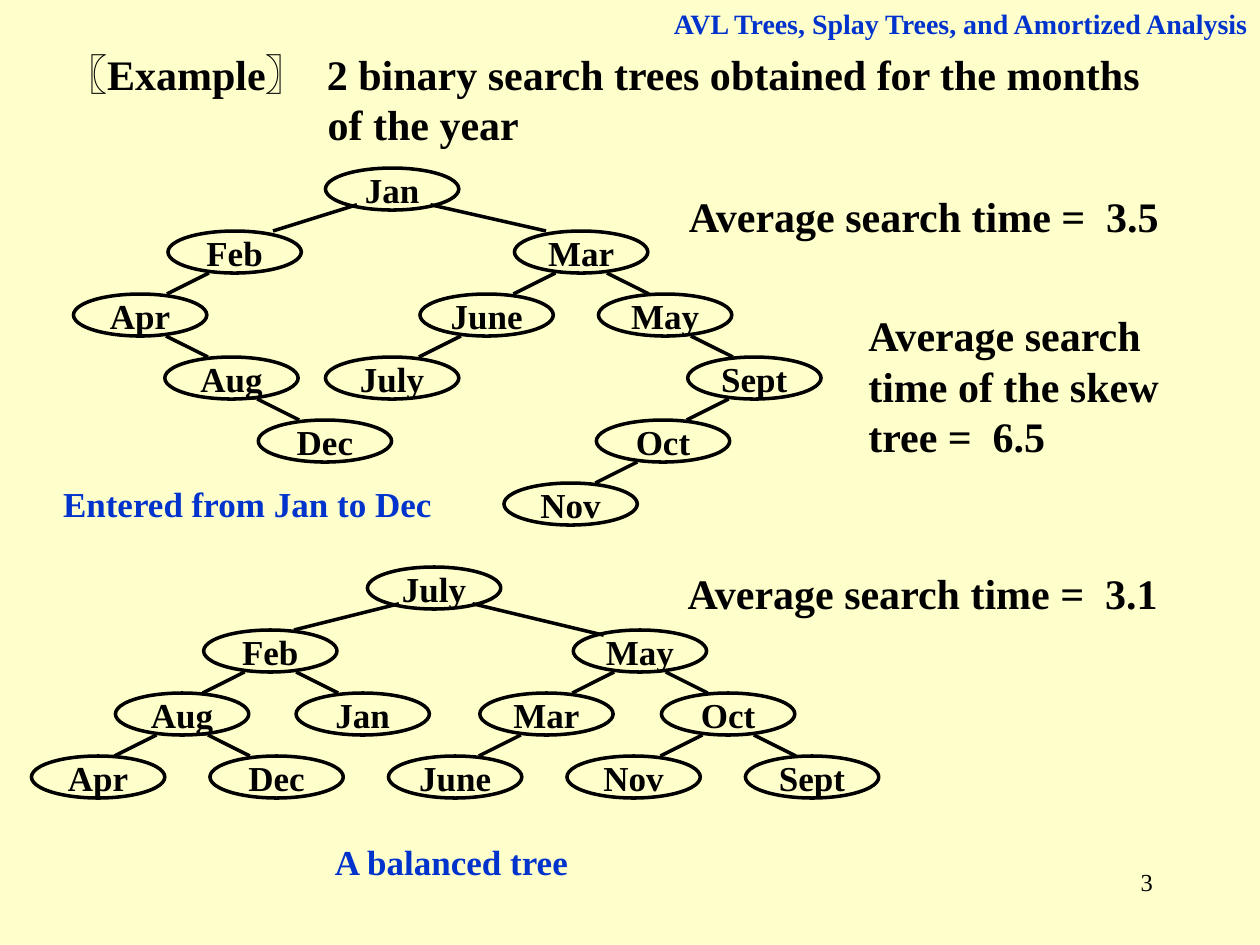
"""Build the slide on two binary search trees of the months."""
from lxml import etree
from pptx import Presentation
from pptx.dml.color import RGBColor
from pptx.enum.shapes import MSO_CONNECTOR, MSO_SHAPE
from pptx.enum.text import MSO_ANCHOR, MSO_AUTO_SIZE, PP_ALIGN
from pptx.oxml.ns import qn
from pptx.util import Pt

LEFT, MID, RIGHT = PP_ALIGN.LEFT, PP_ALIGN.CENTER, PP_ALIGN.RIGHT
TOP, CENTER = MSO_ANCHOR.TOP, MSO_ANCHOR.MIDDLE
OVAL, LINE = MSO_SHAPE.OVAL, MSO_CONNECTOR.STRAIGHT
PX = 7620
FONT = "Times New Roman"
BLACK, BLUE, CREAM = "000000", "0033CC", "FFFFCC"

TITLE = "〖Example〗  2 binary search trees obtained for the months of the year"
TITLE_BOX = (50, 40, 1090, 108)
HANG = 250

# text, box, size, colour, bold, align, anchor, side inset
NOTES = [
    ("3", (860, 820, 250, 60), 14, BLACK, False, RIGHT, TOP, 12),
    ("Entered from Jan to Dec", (60, 450, 400, 60), 20, BLUE, True, LEFT, CENTER, 0),
    ("A balanced tree", (230, 790, 400, 60), 20, BLUE, True, MID, CENTER, 0),
    ("Average search time =  3.5", (656, 176, 493, 60), 24, BLACK, True, LEFT, TOP, 0),
    ("Average search time =  3.1", (655, 535, 493, 60), 24, BLACK, True, LEFT, TOP, 0),
    ("Average search time of the skew tree =  6.5", (827, 289, 302, 156),
     24, BLACK, True, LEFT, TOP, 0),
    ("AVL Trees, Splay Trees, and Amortized Analysis", (590, 0, 610, 44),
     16, BLUE, True, RIGHT, TOP, 12),
]

# node: name, left, left child, right child
ENTERED = (
    "Jan", 310,
    ("Feb", 160,
     ("Apr", 70, None, ("Aug", 157, None, ("Dec", 246, None, None))), None),
    ("Mar", 490,
     ("June", 400, ("July", 310, None, None), None),
     ("May", 570, None,
      ("Sept", 655, ("Oct", 568, ("Nov", 480, None, None), None), None))))
BALANCED = (
    "July", 350,
    ("Feb", 194,
     ("Aug", 110, ("Apr", 30, None, None), ("Dec", 200, None, None)),
     ("Jan", 282, None, None)),
    ("May", 546,
     ("Mar", 457, ("June", 370, None, None), None),
     ("Oct", 630, ("Nov", 540, None, None), ("Sept", 710, None, None))))
# root, top, ends of the two root edges
TREES = [
    (ENTERED, 160, ((260, 220), (520, 220))),
    (BALANCED, 540, ((280, 600), (575, 605))),
]
NODE_W, NODE_H, ROW, STEP = 127, 40, 60, 40
STARTS, ROOT_STARTS, ROOT_DROP = (39, 88), (30, 100), 35


def scale(*vals):
    return [v * PX for v in vals]


def color(text):
    return RGBColor.from_string(text)


def write(shape, text, size, ink, bold, align, anchor, inset, wrap=True):
    frame = shape.text_frame
    frame.word_wrap = wrap
    frame.auto_size = MSO_AUTO_SIZE.NONE
    frame.vertical_anchor = anchor
    frame.margin_left = frame.margin_right = inset * PX
    frame.margin_top = frame.margin_bottom = 6 * PX
    para = frame.paragraphs[0]
    para.text = text
    para.alignment = align
    font = para.font
    font.name, font.size, font.bold = FONT, Pt(size), bold
    font.color.rgb = color(ink)
    return para


def stroke(line):
    line.color.rgb = color(BLACK)
    line.width = Pt(2)


def edge(group, start, end):
    link = group.shapes.add_connector(LINE, *scale(*start, *end))
    stroke(link.line)
    etree.SubElement(link._element.spPr, qn("a:effectLst"))


def grow(group, node, top, ends=None):
    name, left, *kids = node
    oval = group.shapes.add_shape(OVAL, *scale(left, top, NODE_W, NODE_H))
    oval.shadow.inherit = False
    oval.fill.background()
    stroke(oval.line)
    write(oval, name, 20, BLACK, True, MID, CENTER, 0, wrap=False)
    for side, kid in enumerate(kids):
        if not kid:
            continue
        if ends:
            start, end = (left + ROOT_STARTS[side], top + ROOT_DROP), ends[side]
        else:
            x = left + STARTS[side]
            start = (x, top + NODE_H)
            end = (x + (-STEP, STEP)[side], top + ROW)
        edge(group, start, end)
        grow(group, kid, top + ROW)


def main():
    deck = Presentation()
    deck.slide_width, deck.slide_height = scale(1200, 900)
    slide = deck.slides.add_slide(deck.slide_layouts[5])
    slide.background.fill.solid()
    slide.background.fill.fore_color.rgb = color(CREAM)

    title = slide.shapes.title
    title.left, title.top, title.width, title.height = scale(*TITLE_BOX)
    para = write(title, TITLE, 24, BLACK, True, LEFT, TOP, 12)
    props = para._p.get_or_add_pPr()
    props.set("marL", str(HANG * PX))
    props.set("indent", str(-HANG * PX))

    for root, top, ends in TREES:
        grow(slide.shapes.add_group_shape(), root, top, ends)
    for text, box, *style in NOTES:
        write(slide.shapes.add_textbox(*scale(*box)), text, *style)
    deck.save("out.pptx")


if __name__ == "__main__":
    main()
